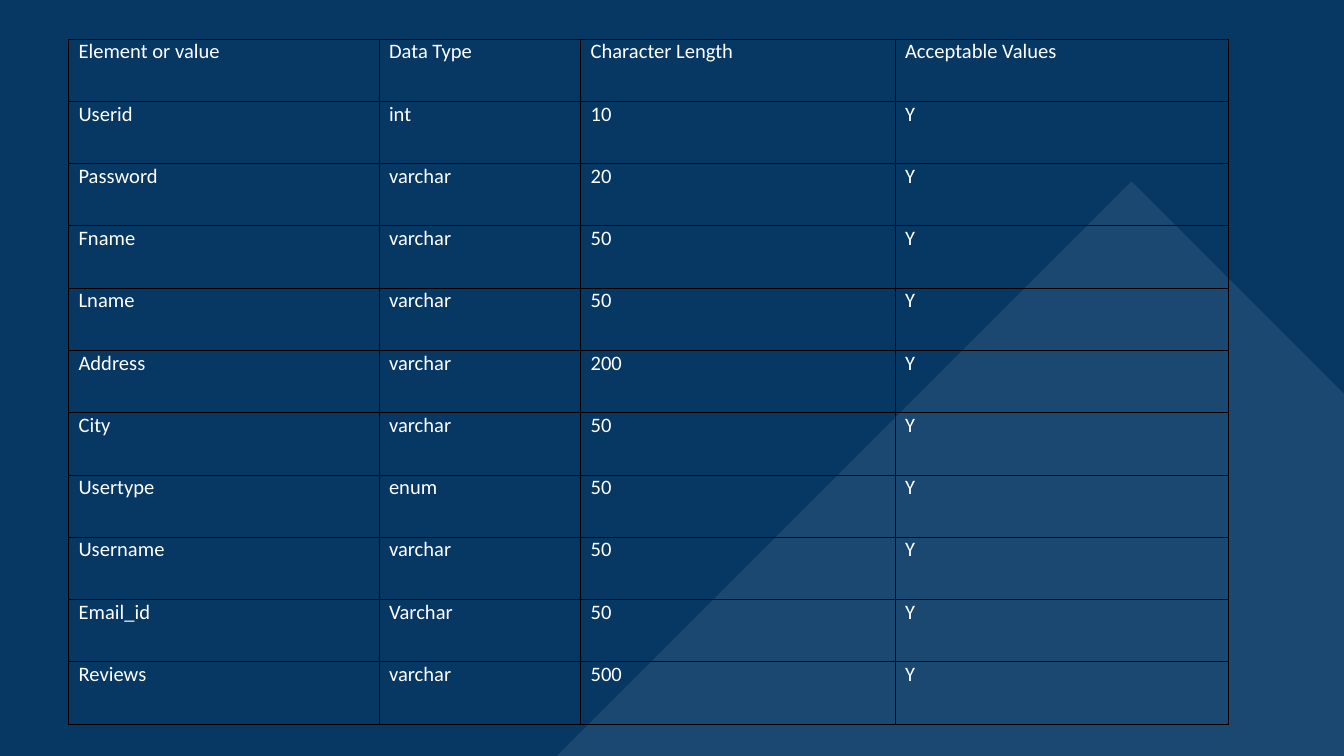
from lxml import etree
from pptx import Presentation
from pptx import util as u
from pptx.dml.color import RGBColor
from pptx.enum import shapes
from pptx.oxml import ns

NAVY = RGBColor(0x07, 0x37, 0x63)
PALE = RGBColor(0xCF, 0xE2, 0xF3)
WHITE = RGBColor(0xFF, 0xFF, 0xFF)
BLACK = RGBColor(0x00, 0x00, 0x00)

WIDTHS = [2.31, 1.5, 2.34, 2.48]
HEAD = ("Element or value", "Data Type", "Character Length", "Acceptable Values")
FIELDS = [
    ("Userid", "int", "10"),
    ("Password", "varchar", "20"),
    ("Fname", "varchar", "50"),
    ("Lname", "varchar", "50"),
    ("Address", "varchar", "200"),
    ("City", "varchar", "50"),
    ("Usertype", "enum", "50"),
    ("Username", "varchar", "50"),
    ("Email_id", "Varchar", "50"),
    ("Reviews", "varchar", "500"),
]


def add_node(parent, tag, **attrs):
    return etree.SubElement(parent, ns.qn(tag), attrs)


class Deck:
    font = "Calibri"
    size = u.Pt(11)
    border = u.Pt(0.5)
    margin = u.Inches(0.15) // 2

    def __init__(self, width):
        """Start a deck with one blank 16:9 slide."""
        self.show = Presentation()
        self.show.slide_width = u.Inches(width)
        self.show.slide_height = u.Inches(width * 9 / 16)
        self.slide = self.show.slides.add_slide(self.show.slide_layouts[6])

    def back(self, color):
        fill = self.slide.background.fill
        fill.solid()
        fill.fore_color.rgb = color

    def diamond(self, left, top, side, color, alpha):
        """Draw a square diamond; alpha is its opacity in percent."""
        box = [u.Inches(n) for n in (left, top, side, side)]
        shape = self.slide.shapes.add_shape(shapes.MSO_SHAPE.DIAMOND, *box)
        shape.shadow.inherit = False
        shape.line.fill.background()
        shape.fill.solid()
        shape.fill.fore_color.rgb = color
        tint = shape.fill._xPr.find(".//" + ns.qn("a:srgbClr"))
        add_node(tint, "a:alpha", val=str(alpha * 1000))

    def table(self, left, top, height, widths, rows):
        box = [u.Inches(n) for n in (left, top, sum(widths), height)]
        grid = self.slide.shapes.add_table(len(rows), len(widths), *box).table
        grid.first_row = grid.horz_banding = False
        for col, width in zip(grid.columns, widths):
            col.width = u.Inches(width)
        for r, row in enumerate(rows):
            for c, words in enumerate(row):
                self.cell(grid.cell(r, c), words)

    def cell(self, cell, words):
        cell.margin_left = cell.margin_right = self.margin
        cell.margin_top = cell.margin_bottom = 0
        props = cell._tc.get_or_add_tcPr()
        for side in "LRTB":
            line = add_node(props, "a:ln" + side, w=str(self.border))
            fill = add_node(line, "a:solidFill")
            add_node(fill, "a:srgbClr", val=str(BLACK))
        cell.fill.background()
        run = cell.text_frame.paragraphs[0].add_run()
        run.text = words
        run.font.name = self.font
        run.font.size = self.size
        run.font.color.rgb = WHITE


def main():
    deck = Deck(10)
    deck.back(NAVY)
    deck.diamond(3.75, 1.35, 9.34, PALE, 10)
    rows = [HEAD] + [field + ("Y",) for field in FIELDS]
    deck.table(0.51, 0.29, 5.1, WIDTHS, rows)
    deck.show.save("out.pptx")


if __name__ == "__main__":
    main()
